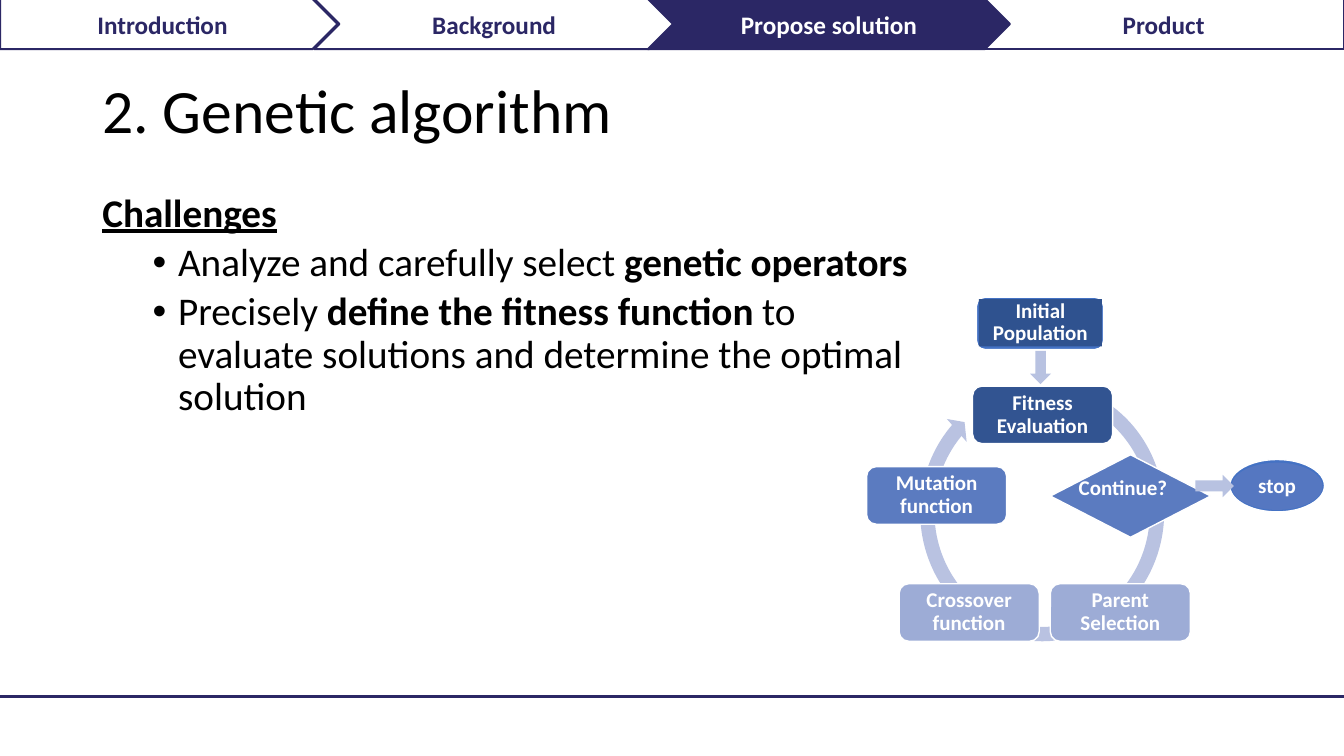
from dataclasses import dataclass

from lxml.etree import SubElement
from pptx import Presentation
from pptx.dml.color import RGBColor
from pptx.enum.shapes import MSO_CONNECTOR, MSO_SHAPE as Preset
from pptx.enum.text import MSO_ANCHOR as Anchor, PP_ALIGN as Align
from pptx.oxml.ns import qn
from pptx.util import Cm, Pt


@dataclass(frozen=True)
class Theme:
    font: str = "Calibri"
    black: str = "000000"
    white: str = "FFFFFF"
    navy: str = "2B2765"
    accent: str = "4472C4"
    start: str = "2F528F"
    evaluation: str = "325491"
    decision: str = "5B7BC0"
    stop: str = "5577C1"
    breeding: str = "9DACD6"
    ring: str = "B9C2E1"
    arrow: str = "B8C2E1"
    title_size: int = 44
    body_size: int = 28
    tab_size: int = 18
    step_size: int = 15


THEME = Theme()


def set_font(paragraph, size, color, bold=None):
    font = paragraph.font
    font.name, font.size, font.bold = THEME.font, Pt(size), bold
    font.color.rgb = RGBColor.from_string(color)


def set_margins(frame, margin):
    frame.margin_left = frame.margin_right = Cm(margin)
    frame.margin_top = frame.margin_bottom = Cm(margin)


def add_preset(slide, preset, box, fill, line=None, line_width=1.0):
    shape = slide.shapes.add_shape(preset, *map(Cm, box))
    shape.shadow.inherit = False
    shape.fill.solid()
    shape.fill.fore_color.rgb = RGBColor.from_string(fill)
    if line:
        shape.line.color.rgb = RGBColor.from_string(line)
        shape.line.width = Pt(line_width)
    else:
        shape.line.fill.background()
    return shape


def add_label(shape, text, size, color=THEME.white, margin=0.15, spacing=0.9):
    frame = shape.text_frame
    frame.word_wrap = True
    frame.vertical_anchor = Anchor.MIDDLE
    set_margins(frame, margin)
    paragraph = frame.paragraphs[0]
    paragraph.text = text
    paragraph.alignment = Align.CENTER
    paragraph.line_spacing = spacing
    set_font(paragraph, size, color, bold=True)


def add_text_box(slide, box, anchor=Anchor.TOP):
    frame = slide.shapes.add_textbox(*map(Cm, box)).text_frame
    frame.word_wrap = True
    frame.vertical_anchor = anchor
    return frame


def add_title(slide, text):
    paragraph = add_text_box(slide, (2.33, 1.01, 29.21, 3.68), Anchor.MIDDLE).paragraphs[0]
    paragraph.text = text
    paragraph.line_spacing = 0.9
    set_font(paragraph, THEME.title_size, THEME.black)


def add_bullet(frame, parts):
    """Add a bulleted paragraph from (text, bold) parts."""
    paragraph = frame.add_paragraph()
    properties = paragraph._p.get_or_add_pPr()
    properties.set("marL", str(Cm(1.91)))
    properties.set("indent", str(Cm(-0.64)))
    paragraph.line_spacing = 0.9
    paragraph.space_before = Pt(5)
    SubElement(properties, qn("a:buFont")).set("typeface", "Arial")
    SubElement(properties, qn("a:buChar")).set("char", "•")
    set_font(paragraph, THEME.body_size, THEME.black)
    for text, bold in parts:
        run = paragraph.add_run()
        run.text = text
        run.font.bold = bold


def add_challenges(slide):
    frame = add_text_box(slide, (2.33, 4.75, 21.11, 6.12))
    heading = frame.paragraphs[0]
    heading.text = "Challenges"
    heading.line_spacing = 0.9
    set_font(heading, THEME.body_size, THEME.black, bold=True)
    heading.font.underline = True
    add_bullet(frame, [("Analyze and carefully select ", False), ("genetic operators", True)])
    add_bullet(frame, [
        ("Precisely ", False),
        ("define the fitness function ", True),
        ("to evaluate solutions and determine the optimal solution", False),
    ])


def add_step(slide, text, left, top, fill):
    box = (left, top, 3.53, 1.45)
    shape = add_preset(slide, Preset.ROUNDED_RECTANGLE, box, fill, THEME.white)
    add_label(shape, text, THEME.step_size)


def add_terminal(slide, text, outer, outer_box, inner, inner_box, fill):
    """Add a start or end point: an accent plate with a labelled face on it."""
    add_preset(slide, outer, outer_box, THEME.accent, THEME.white)
    add_label(add_preset(slide, inner, inner_box, fill), text, THEME.step_size)


def add_cycle(slide):
    ring = add_preset(slide, Preset.CIRCULAR_ARROW, (22.99, 9.45, 6.55, 6.91), THEME.ring)
    for index, value in enumerate((0.055, 3.307, 134.233, 176.045, 0.058)):
        ring.adjustments[index] = value

    add_step(slide, "Fitness Evaluation", 24.51, 9.73, THEME.evaluation)
    add_preset(slide, Preset.FLOWCHART_DECISION, (26.47, 11.46, 4.04, 2.08),
               THEME.decision, THEME.white)
    add_step(slide, "Parent Selection", 26.47, 14.71, THEME.breeding)
    add_step(slide, "Crossover function", 22.66, 14.71, THEME.breeding)
    add_step(slide, "Mutation function", 21.84, 11.76, THEME.decision)
    add_terminal(slide, "Initial Population",
                 Preset.ROUNDED_RECTANGLE, (24.61, 7.49, 3.2, 1.32),
                 Preset.RECTANGLE, (24.67, 7.54, 3.1, 1.19), THEME.start)
    add_terminal(slide, "stop",
                 Preset.OVAL, (30.99, 11.58, 2.39, 1.32),
                 Preset.OVAL, (31.04, 11.66, 2.29, 1.19), THEME.stop)
    question = slide.shapes.add_textbox(Cm(26.47), Cm(11.86), Cm(3.66), Cm(0.91))
    add_label(question, "Continue?", THEME.step_size)

    add_preset(slide, Preset.DOWN_ARROW, (25.96, 8.84, 0.53, 0.84), THEME.arrow)
    to_stop = add_preset(slide, Preset.DOWN_ARROW, (30.33, 11.76, 0.56, 0.97), THEME.arrow)
    to_stop.rotation = 270


def add_footer_line(slide, width):
    top = Cm(17.55)
    line = slide.shapes.add_connector(MSO_CONNECTOR.STRAIGHT, 0, top, width, top)
    line.line.color.rgb = RGBColor.from_string(THEME.navy)
    line.line.width = Pt(1.5)
    SubElement(line._element.spPr, qn("a:effectLst"))


def add_tab(slide, text, preset, left, width, active=False, point=0.5):
    fill, color = (THEME.navy, THEME.white) if active else (THEME.white, THEME.navy)
    tab = add_preset(slide, preset, (left, -0.03, width, 1.27), fill, THEME.navy, 1.5)
    tab.adjustments[0] = point
    add_label(tab, text, THEME.tab_size, color, margin=0, spacing=1.0)


def add_navigation(slide):
    add_tab(slide, "Introduction", Preset.PENTAGON, 0, 8.51)
    add_tab(slide, "Product", Preset.CHEVRON, 24.79, 9.07, point=0)
    add_tab(slide, "Background", Preset.CHEVRON, 7.92, 9.07)
    add_tab(slide, "Propose solution", Preset.CHEVRON, 16.33, 9.12, active=True)


def main():
    presentation = Presentation()
    presentation.slide_width = Cm(33.87)
    presentation.slide_height = Cm(19.05)
    slide = presentation.slides.add_slide(presentation.slide_layouts[6])
    add_title(slide, "2. Genetic algorithm")
    add_challenges(slide)
    add_cycle(slide)
    add_footer_line(slide, presentation.slide_width)
    add_navigation(slide)
    presentation.save("out.pptx")


if __name__ == "__main__":
    main()
